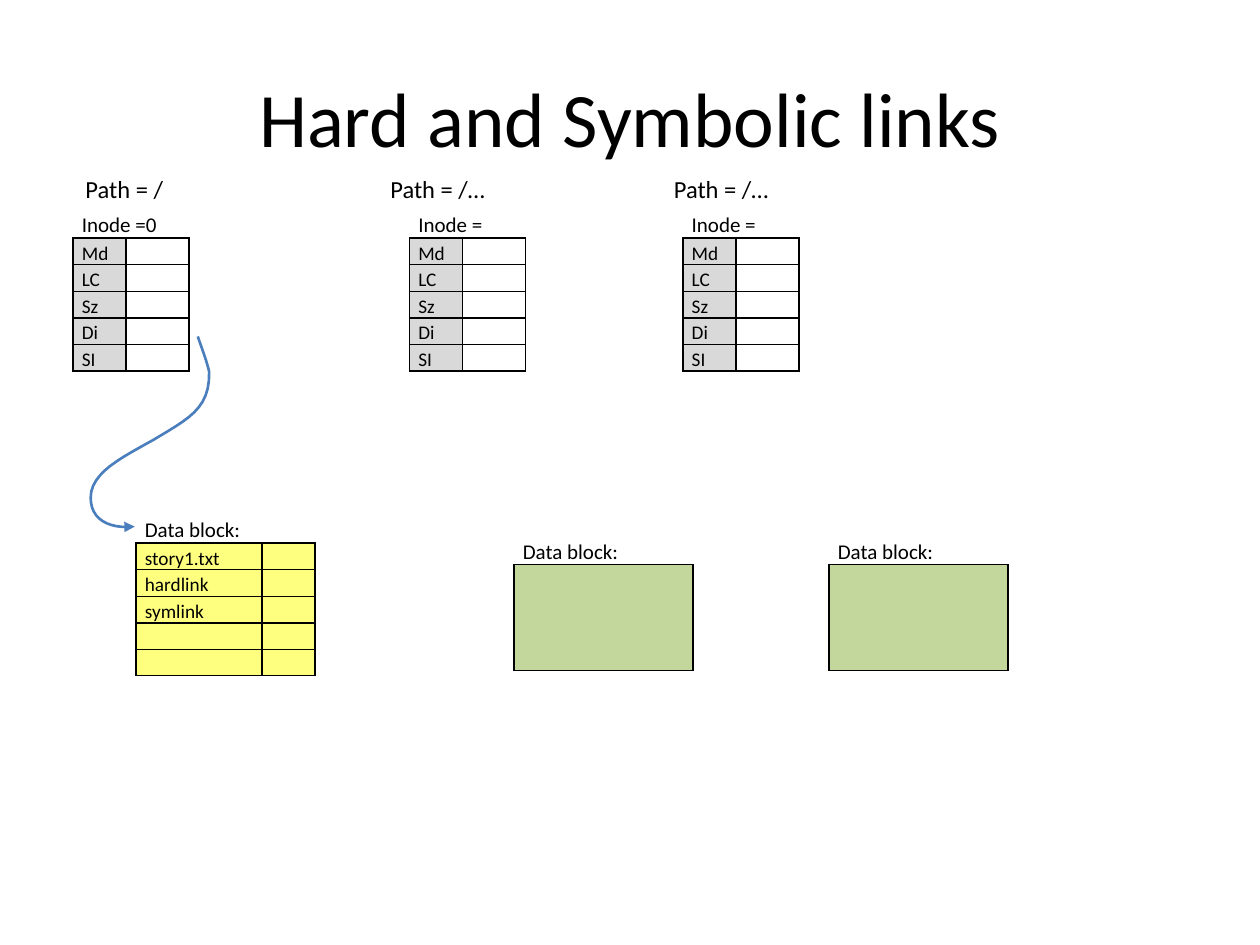
from lxml import etree
from pptx import Presentation
from pptx.dml.color import RGBColor
from pptx.enum import text
from pptx.oxml import ns
from pptx.util import Inches, Pt

COLORS = {"ink": "000000", "label": "D9D9D9", "directory": "FFFF00",
          "file": "C3D69B", "arrow": "4B7EBC"}
FONT = "Calibri"
TITLE_SIZE, PATH_SIZE, HEADING_SIZE, CELL_SIZE = 44, 14, 12, 11
PLAIN_TABLE = "{2D5ABB26-0587-4C30-8999-92F81FD0307C}"

# Lengths in inches
PATH_TOP, INODE_TOP, DIRECTORY_TOP, FILE_TOP = 1.33, 1.66, 4.08, 4.25
HEADING_HEIGHT, ROW_HEIGHT, FILE_HEIGHT = 0.23, 0.21, 0.84
NARROW, MEDIUM, WIDE = 0.42, 0.5, 1
FILE_WIDTH = WIDE + NARROW

INODE_FIELDS = ["Md", "LC", "Sz", "Di", "SI"]
DIRECTORY_ENTRIES = ["story1.txt", "hardlink", "symlink", "", ""]

# Each bend: two control points and an end, starting where the last one ended
POINTER_START = (1.57, 2.67)
POINTER_BENDS = [
    [(1.6, 2.76), (1.64, 2.86), (1.66, 2.95)],   # away from the Di row
    [(1.67, 3.25), (1.48, 3.33), (1.22, 3.49)],  # back to the left
    [(0.97, 3.63), (0.72, 3.75), (0.72, 3.95)],  # down the far left
    [(0.72, 4.12), (0.86, 4.2), (1.07, 4.18)],   # into the data block
]
STEPS_PER_BEND = 12


def rgb(name):
    return RGBColor.from_string(COLORS[name])


def add_child(parent, tag, **attributes):
    return etree.SubElement(parent, ns.qn(tag), attributes)


def style_text(frame, size):
    for para in frame.paragraphs:
        for span in para.runs:
            span.font.name = FONT
            span.font.size = Pt(size)
            span.font.color.rgb = rgb("ink")


def write_cell(cell, words, size):
    cell.margin_left = cell.margin_right = Inches(0.07)
    cell.margin_top = cell.margin_bottom = 0
    para = cell.text_frame.paragraphs[0]
    if words:
        para.text = words
        para.line_spacing = 1.15
        style_text(cell.text_frame, size)
    else:  # keeps an empty row from growing
        add_child(para._p, "a:endParaRPr", sz=str(size * 100))


def draw_borders(cell, sides):
    """Call before fill_cell: borders precede the fill in the XML."""
    properties = cell._tc.get_or_add_tcPr()
    for side in sides:
        line = add_child(properties, f"a:ln{side}", w=str(Pt(1)))
        solid = add_child(line, "a:solidFill")
        add_child(solid, "a:srgbClr", val=COLORS["ink"])


def fill_cell(cell, fill, opacity):
    if fill is None:
        cell.fill.background()
        return
    cell.fill.solid()
    cell.fill.fore_color.rgb = rgb(fill)
    if opacity < 100:
        solid = cell._tc.tcPr.find(ns.qn("a:solidFill"))
        add_child(solid[0], "a:alpha", val=str(opacity * 1000))


def add_block(page, left, top, heading, rows, row_height, columns, opacity=100):
    """A headed table; columns is a list of (width, fill name)."""
    widths = [width for width, fill in columns]
    heights = [HEADING_HEIGHT] + [row_height] * len(rows)
    table = page.shapes.add_table(
        len(heights), len(widths), Inches(left), Inches(top),
        Inches(sum(widths)), Inches(sum(heights))).table
    table.first_row = table.horz_banding = False
    table._tbl.tblPr.find(ns.qn("a:tableStyleId")).text = PLAIN_TABLE
    for column, width in zip(table.columns, widths):
        column.width = Inches(width)
    for row, height in zip(table.rows, heights):
        row.height = Inches(height)

    # Words go in the first column; the heading row is open but for its base
    for row_number, words in enumerate([heading] + rows):
        is_heading = row_number == 0
        for column_number, (width, fill) in enumerate(columns):
            cell = table.cell(row_number, column_number)
            write_cell(cell, words if column_number == 0 else "",
                       HEADING_SIZE if is_heading else CELL_SIZE)
            draw_borders(cell, "B" if is_heading else "LRTB")
            fill_cell(cell, None if is_heading else fill, opacity)
    if len(columns) > 1:
        table.cell(0, 0).merge(table.cell(0, len(columns) - 1))


def add_inode(page, left, heading):
    add_block(page, left, INODE_TOP, heading, INODE_FIELDS, ROW_HEIGHT,
              [(NARROW, "label"), (MEDIUM, None)])


def add_directory(page, left):
    add_block(page, left, DIRECTORY_TOP, "Data block:", DIRECTORY_ENTRIES,
              ROW_HEIGHT, [(WIDE, "directory"), (NARROW, "directory")], opacity=50)


def add_file(page, left):
    add_block(page, left, FILE_TOP, "Data block:", [""], FILE_HEIGHT,
              [(FILE_WIDTH, "file")])


def add_path_label(page, left, width, words):
    box = page.shapes.add_textbox(
        Inches(left), Inches(PATH_TOP), Inches(width), Inches(0.34))
    box.text_frame.text = words
    box.text_frame.word_wrap = False
    style_text(box.text_frame, PATH_SIZE)


def bezier_point(start, control_1, control_2, end, t):
    """The point at share t of a cubic Bezier curve."""
    s = 1 - t
    return tuple(
        Inches(s**3 * a + 3 * s**2 * t * b + 3 * s * t**2 * c + t**3 * d)
        for a, b, c, d in zip(start, control_1, control_2, end))


def add_pointer(page, start, bends):
    builder = page.shapes.build_freeform(*map(Inches, start))
    for bend in bends:
        builder.add_line_segments(
            [bezier_point(start, *bend, step / STEPS_PER_BEND)
             for step in range(1, STEPS_PER_BEND + 1)], close=False)
        start = bend[-1]
    curve = builder.convert_to_shape()
    curve.shadow.inherit = False
    curve.fill.background()
    curve.line.color.rgb = rgb("arrow")
    curve.line.width = Pt(1.5)
    line = curve._element.spPr.find(ns.qn("a:ln"))
    add_child(line, "a:tailEnd", type="triangle")


def add_title(page, left, top, width, height, words):
    title = page.shapes.title
    title.left, title.top = Inches(left), Inches(top)
    title.width, title.height = Inches(width), Inches(height)
    title.text_frame.text = words
    title.text_frame.vertical_anchor = text.MSO_ANCHOR.MIDDLE
    title.text_frame.paragraphs[0].alignment = text.PP_ALIGN.CENTER
    style_text(title.text_frame, TITLE_SIZE)


def main():
    deck = Presentation()
    deck.slide_width, deck.slide_height = Inches(10), Inches(7.5)
    title_only = deck.slide_layouts[5]
    page = deck.slides.add_slide(title_only)
    add_title(page, 0.5, 0.3, 9, 1.25, "Hard and Symbolic links")

    # Inodes, each under its path
    for path_left, path_width, path_words, inode_left, heading in [
            (0.58, 0.82, "Path = /", 0.58, "Inode =0"),
            (3, 0.96, "Path = /…", 3.25, "Inode ="),
            (5.25, 0.96, "Path = /…", 5.42, "Inode =")]:
        add_path_label(page, path_left, path_width, path_words)
        add_inode(page, inode_left, heading)

    # Data blocks, and the pointer from the root inode to its directory
    add_directory(page, 1.08)
    for file_left in (4.08, 6.58):
        add_file(page, file_left)
    add_pointer(page, POINTER_START, POINTER_BENDS)

    deck.save("out.pptx")


if __name__ == "__main__":
    main()
